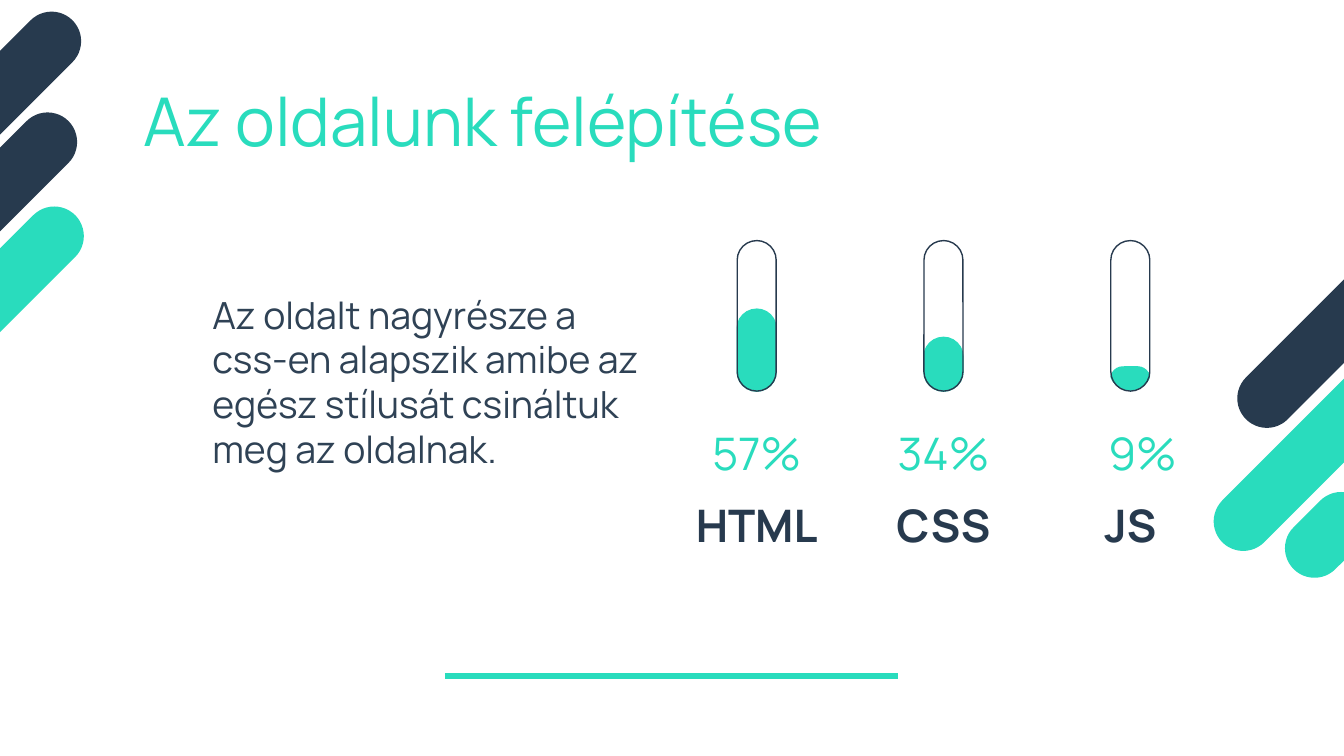
"""Builds the slide on how the site is divided between HTML, CSS and JS."""
from pptx import Presentation, util as u
from pptx.dml.color import RGBColor
from pptx.enum import shapes, text
from pptx.oxml.ns import qn
from lxml import etree

HUES = {"navy": "273A4E", "mint": "29DCBD", "slate": "2F4255", "white": "FFFFFF"}
FIRST, STEP, BASE, THICK = 5.63, 1.39, 2.91, 0.29
TUBE = 1.12

deck = Presentation()
deck.slide_width = u.Inches(10)
deck.slide_height = deck.slide_width * 9 // 16
slide = deck.slides.add_slide(deck.slide_layouts[1])


def pill(mid, long, thick, turn, fill=None, line=None, width=0.75):
    left, top = mid[0] - long / 2, mid[1] - thick / 2
    bar = slide.shapes.add_shape(shapes.MSO_SHAPE.ROUNDED_RECTANGLE,
                                 *map(u.Inches, (left, top, long, thick)))
    bar.adjustments[0] = 0.5
    bar.rotation = turn
    bar.shadow.inherit = False
    for paint, hue in ((bar.fill, fill), (bar.line.fill, line)):
        if hue:
            paint.solid()
            paint.fore_color.rgb = RGBColor.from_string(HUES[hue])
        else:
            paint.background()
    if line:
        bar.line.width = u.Pt(width)


def write(box, place, words, size, hue, anchor, align, inset=0.1, lead=1.0, bold=False):
    box.left, box.top, box.width, box.height = map(u.Inches, place)
    frame = box.text_frame
    frame.text = words
    frame.word_wrap = True
    frame.auto_size = text.MSO_AUTO_SIZE.NONE
    frame.vertical_anchor = anchor
    frame.margin_left = frame.margin_right = u.Inches(0.1)
    frame.margin_top = frame.margin_bottom = u.Inches(inset)
    para = frame.paragraphs[0]
    para.alignment, para.line_spacing, para.space_before = align, lead, u.Pt(0)
    font = para.runs[0].font
    font.name, font.size, font.bold = "Manrope", u.Pt(size), bold
    font.color.rgb = RGBColor.from_string(HUES[hue])
    return para


for x, y, long, hue in (
    (-0.09, 0.78, 1.78, "navy"), (-0.12, 1.53, 1.78, "navy"), (-0.07, 2.23, 1.78, "mint"),
    (9.9, 2.49, 1.78, "navy"), (10, 3.13, 2.56, "mint"), (9.88, 3.98, 0.72, "mint"),
):
    pill((x, y), long, 0.44, 315, fill=hue)

rule = slide.shapes.add_connector(shapes.MSO_CONNECTOR.STRAIGHT,
                                  *map(u.Inches, (3.31, 5.03, 6.68, 5.03)))
rule.line.width = u.Pt(3)
rule.line.color.rgb = RGBColor.from_string(HUES["mint"])
etree.SubElement(rule.element.spPr, qn("a:effectLst"))

top, mid, low = text.MSO_ANCHOR.TOP, text.MSO_ANCHOR.MIDDLE, text.MSO_ANCHOR.BOTTOM
left, centre = text.PP_ALIGN.LEFT, text.PP_ALIGN.CENTER
head, body = slide.placeholders
write(head, (0.97, 0.56, 8.43, 0.73), "Az oldalunk felépítése",
      36, "mint", top, left, lead=0.9)
para = write(body, (1.48, 2.12, 3.38, 1.78),
             "Az oldalt nagyrésze a css-en alapszik amibe az "
             "egész stílusát csináltuk meg az oldalnak.",
             20, "slate", top, left, inset=0.05)
props = para._p.get_or_add_pPr()
props.set("marL", "0")
props.set("indent", "0")
etree.SubElement(props, qn("a:buNone"))

parts = (("HTML", "57%", 0.61, 0), ("CSS", "34%", 0.4, 0), ("JS", "9%", 0.18, 0.09))
for col, (name, share, level, shift) in enumerate(parts):
    x = FIRST + col * STEP
    pill((x, BASE - level / 2), level, THICK, 270, fill="mint", line="mint")
    if name == "JS":
        pill((x, BASE - TUBE / 2 + 0.02), TUBE, 0.36, 270, line="white", width=3)
    pill((x, BASE - TUBE / 2), TUBE, THICK, 270, line="navy")
    tag = slide.shapes.add_textbox(0, 0, 0, 0)
    write(tag, (x + shift - 0.63, 3.12, 1.26, 0.55), share,
          24, "mint", mid, centre, lead=0.9)
    tag = slide.shapes.add_textbox(0, 0, 0, 0)
    write(tag, (x - 1.17, 3.65, 2.34, 0.55), name,
          24, "navy", low, centre, bold=True)

deck.save("out.pptx")
